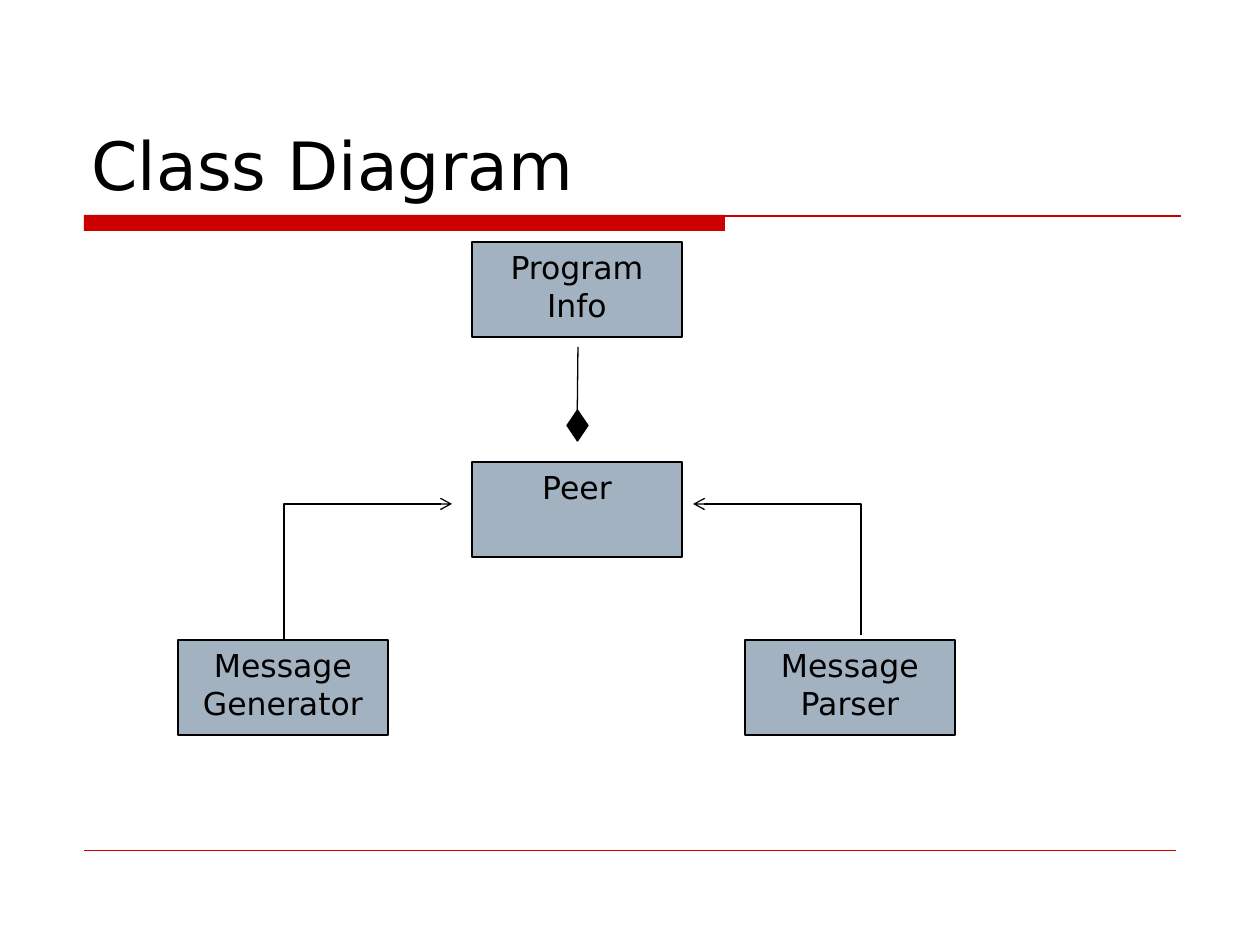
from lxml import etree
from pptx import Presentation
from pptx.dml.color import RGBColor
from pptx.enum.shapes import MSO_CONNECTOR, MSO_SHAPE
from pptx.enum.text import MSO_ANCHOR, PP_ALIGN
from pptx.oxml.ns import qn
from pptx.util import Pt

RECTANGLE, DIAMOND = MSO_SHAPE.RECTANGLE, MSO_SHAPE.DIAMOND
STRAIGHT, ELBOW = MSO_CONNECTOR.STRAIGHT, MSO_CONNECTOR.ELBOW
TOP, BOTTOM = MSO_ANCHOR.TOP, MSO_ANCHOR.BOTTOM
LEFT, CENTER = PP_ALIGN.LEFT, PP_ALIGN.CENTER

SCALE = 914400 / 126
RED, BLACK, GREY = "CC0000", "000000", "A3B2C1"

TITLE = ("Class Diagram", (79, 42, 1103, 168))
BOX_SIZE = (210, 95)
CLASSES = [
    (("Peer",), 472, 462),
    (("Program", "Info"), 472, 242),
    (("Message", "Generator"), 178, 640),
    (("Message", "Parser"), 745, 640),
]
RULES = [((84, 216), (1181, 216), 0.75), ((84, 850), (1176, 850), 0.25)]
TITLE_BAR = (84, 215, 641, 16)
ELBOWS = [((284, 640), (452, 504)), ((861, 635), (693, 504))]
COMPOSITION = ((578, 347), (577, 441))
COMPOSITION_END = (567, 410, 21, 31)


def emu(pixels):
    return round(pixels * SCALE)


def color(value):
    return RGBColor.from_string(value)


def write(shape, lines, size, anchor, alignment):
    frame = shape.text_frame
    frame.word_wrap = True
    frame.vertical_anchor = anchor
    for index, line in enumerate(lines):
        paragraph = frame.add_paragraph() if index else frame.paragraphs[0]
        paragraph.text = line
        paragraph.alignment = alignment
        settings = {"name": "DejaVu Sans", "size": Pt(size)}
        for name, value in settings.items():
            setattr(paragraph.font, name, value)
        paragraph.font.color.rgb = color(BLACK)


def add_block(slide, kind, bounds, fill, outline=None):
    shape = slide.shapes.add_shape(kind, *map(emu, bounds))
    shape.shadow.inherit = False
    shape.fill.solid()
    shape.fill.fore_color.rgb = color(fill)
    if outline:
        shape.line.color.rgb = color(outline)
        shape.line.width = Pt(0.75)
    else:
        shape.line.fill.background()
    return shape


def add_line(slide, start, end, line_color, width=0.75, arrow=False, kind=STRAIGHT):
    connector = slide.shapes.add_connector(kind, *map(emu, (*start, *end)))
    connector.line.color.rgb = color(line_color)
    connector.line.width = Pt(width)
    properties = connector._element.spPr
    etree.SubElement(properties, qn("a:effectLst"))
    if arrow:
        etree.SubElement(properties.find(qn("a:ln")), qn("a:tailEnd"), type="arrow")
    return connector


def add_elbow(slide, start, end):
    direction = 1 if end[0] > start[0] else -1
    center_x, center_y = (start[0] + end[0]) / 2, (start[1] + end[1]) / 2
    half_run, half_rise = abs(end[0] - start[0]) / 2, (start[1] - end[1]) / 2
    connector = add_line(
        slide,
        (center_x + direction * half_rise, center_y + half_run),
        (center_x - direction * half_rise, center_y - half_run),
        BLACK, arrow=True, kind=ELBOW,
    )
    properties = connector._element.spPr
    properties.find(qn("a:prstGeom")).set("prst", "bentConnector2")
    angle = 90 if direction > 0 else 270
    properties.find(qn("a:xfrm")).set("rot", str(angle * 60000))


def main():
    presentation = Presentation()
    presentation.slide_width, presentation.slide_height = emu(1260), emu(945)
    slide = presentation.slides.add_slide(presentation.slide_layouts[6])

    add_block(slide, RECTANGLE, TITLE_BAR, RED)
    for start, end, width in RULES:
        add_line(slide, start, end, RED, width)

    text, bounds = TITLE
    title = slide.shapes.add_textbox(*map(emu, bounds))
    write(title, [text], 38, BOTTOM, LEFT)

    for lines, left, top in CLASSES:
        box = add_block(slide, RECTANGLE, (left, top, *BOX_SIZE), GREY, BLACK)
        write(box, lines, 18, TOP, CENTER)

    for start, end in ELBOWS:
        add_elbow(slide, start, end)
    add_line(slide, *COMPOSITION, BLACK, arrow=True)
    add_block(slide, DIAMOND, COMPOSITION_END, BLACK, BLACK)

    presentation.save("out.pptx")


if __name__ == "__main__":
    main()
